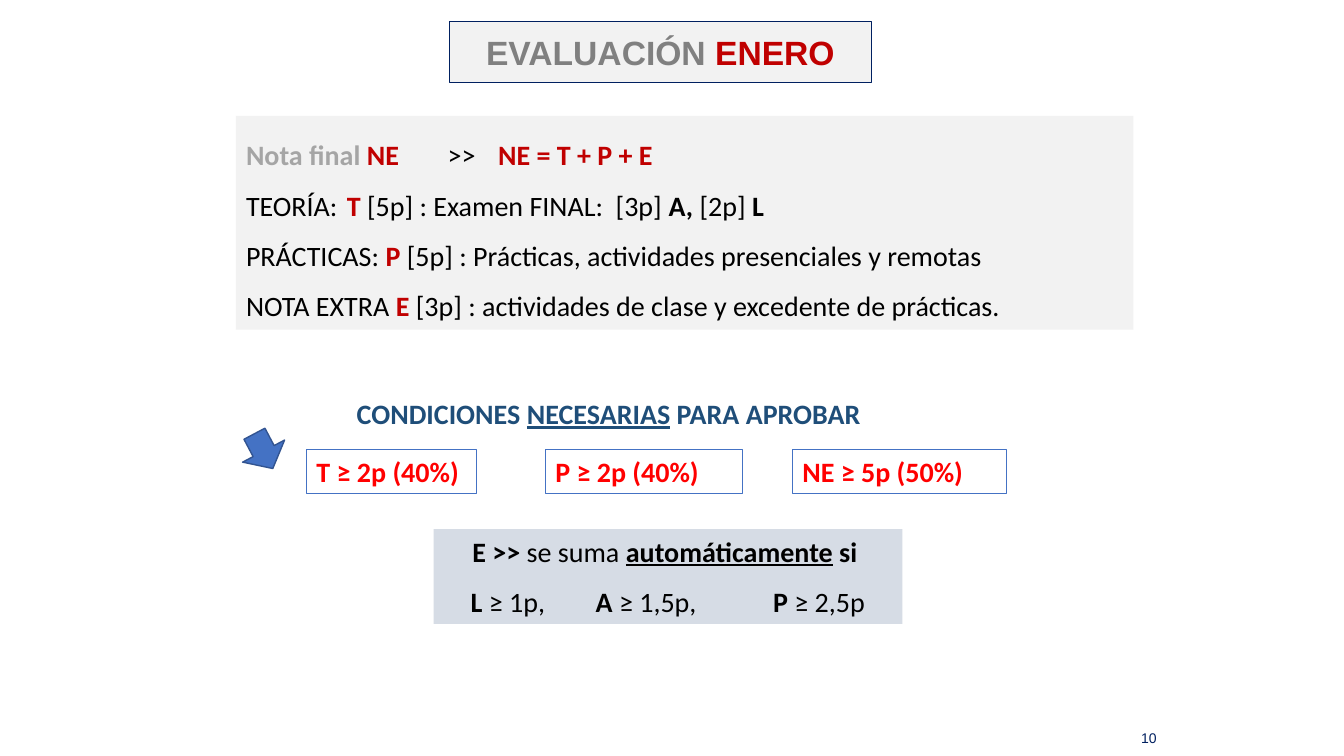
from dataclasses import dataclass

from lxml.etree import SubElement
from pptx import Presentation
from pptx.dml.color import RGBColor
from pptx.enum.shapes import MSO_SHAPE
from pptx.enum.text import MSO_ANCHOR, MSO_AUTO_SIZE, PP_ALIGN
from pptx.oxml.ns import qn
from pptx.util import Inches, Pt


@dataclass(frozen=True)
class Theme:
    heading_font: str = "Arial"
    body_font: str = "Calibri"
    title_size: int = 24
    body_size: int = 20
    number_size: int = 10
    panel: str = "F2F2F2"
    extra_panel: str = "D6DCE5"
    navy: str = "002060"
    blue: str = "4472C4"
    arrow_line: str = "325491"
    heading: str = "1F4E79"
    title_gray: str = "808080"
    label_gray: str = "A5A5A5"
    accent: str = "C00000"
    condition: str = "FF0000"
    text: str = "000000"


class SlideBuilder:
    """Adds styled elements to the current slide."""

    def __init__(self, slide, theme):
        self.slide = slide
        self.theme = theme

    def place(self, shape, box):
        shape.left, shape.top, shape.width, shape.height = map(Inches, box)

    def paint(self, shape, fill=None, line=None, line_width=0.75):
        if fill:
            shape.fill.solid()
            shape.fill.fore_color.rgb = RGBColor.from_string(fill)
        else:
            shape.fill.background()
        if line:
            shape.line.color.rgb = RGBColor.from_string(line)
            shape.line.width = Pt(line_width)
        else:
            shape.line.fill.background()

    def set_lines(self, shape, lines, size=None, font=None, align=PP_ALIGN.LEFT,
                  anchor=MSO_ANCHOR.TOP, spacing=1.0, before=0):
        frame = shape.text_frame
        frame.auto_size = MSO_AUTO_SIZE.NONE
        frame.word_wrap = True
        frame.vertical_anchor = anchor
        for index, runs in enumerate(lines):
            paragraph = frame.add_paragraph() if index else frame.paragraphs[0]
            paragraph.alignment = align
            paragraph.line_spacing = spacing
            paragraph.space_before = Pt(before)
            for text, color, bold, underline in runs:
                run = paragraph.add_run()
                run.text = text
                run.font.name = font or self.theme.body_font
                run.font.size = Pt(size or self.theme.body_size)
                run.font.bold = bold
                run.font.underline = underline
                run.font.color.rgb = RGBColor.from_string(color)

    def tabs(self, paragraph, stops):
        tab_list = SubElement(paragraph._p.get_or_add_pPr(), qn("a:tabLst"))
        for stop in stops:
            SubElement(tab_list, qn("a:tab"), pos=str(Inches(stop)), algn="l")

    def title(self, box, runs):
        shape = self.slide.shapes.title
        self.place(shape, box)
        self.paint(shape, self.theme.panel, self.theme.navy)
        self.set_lines(shape, [runs], self.theme.title_size, self.theme.heading_font,
                       PP_ALIGN.CENTER, MSO_ANCHOR.BOTTOM)
        shape.text_frame.margin_top = shape.text_frame.margin_bottom = Inches(0.1)

    def body(self, box, lines, tab_stops):
        shape = self.slide.placeholders[1]
        self.place(shape, box)
        self.paint(shape, self.theme.panel)
        self.set_lines(shape, lines, spacing=1.5)
        for paragraph, stops in zip(shape.text_frame.paragraphs, tab_stops):
            properties = paragraph._p.get_or_add_pPr()
            properties.set("marL", "0")
            properties.set("indent", "0")
            SubElement(properties, qn("a:buNone"))
            if stops:
                self.tabs(paragraph, stops)

    def text(self, box, lines, **style):
        shape = self.slide.shapes.add_textbox(*map(Inches, box))
        self.set_lines(shape, lines, **style)

    def shape(self, kind, box, fill=None, line=None, line_width=0.75):
        shape = self.slide.shapes.add_shape(kind, *map(Inches, box))
        shape.shadow.inherit = False
        self.paint(shape, fill, line, line_width)
        return shape

    def panel(self, box, lines, fill=None, line=None, **style):
        shape = self.shape(MSO_SHAPE.RECTANGLE, box, fill, line)
        self.set_lines(shape, lines, **style)
        return shape


def main():
    theme = Theme()
    presentation = Presentation()
    presentation.slide_width, presentation.slide_height = Inches(13.33), Inches(7.5)
    slide = presentation.slides.add_slide(presentation.slide_layouts[1])
    builder = SlideBuilder(slide, theme)

    def plain(text):
        return text, theme.text, False, False

    def strong(text, color=theme.text, underline=False):
        return text, color, True, underline

    builder.body((2.34, 1.15, 8.9, 2.12), [
        [strong("Nota final", theme.label_gray), strong(" NE", theme.accent),
         plain("\t>>\t"), strong("NE = T + P + E", theme.accent)],
        [plain("TEORÍA:\t"), strong("T ", theme.accent),
         plain("[5p] : Examen FINAL:  [3p] "), strong("A, "), plain("[2p] "), strong("L")],
        [plain("PRÁCTICAS: "), strong("P ", theme.accent),
         plain("[5p] : Prácticas, actividades presenciales y remotas")],
        [plain("NOTA EXTRA "), strong("E ", theme.accent),
         plain("[3p] : actividades de clase y excedente de prácticas.")],
    ], [(1.65, 2.0), (1.53,), (), ()])

    builder.title((4.46, 0.21, 4.18, 0.61), [
        strong("EVALUACIÓN ", theme.title_gray), strong("ENERO", theme.accent)])

    builder.text((9.19, 7.05, 2.38, 0.4), [[("10", theme.navy, False, False)]],
                 size=theme.number_size, font=theme.heading_font,
                 align=PP_ALIGN.RIGHT, anchor=MSO_ANCHOR.BOTTOM)

    extra = builder.panel((4.3, 5.25, 4.65, 0.94), [
        [strong("E >> "), plain("se suma "),
         strong("automáticamente", underline=True), strong(" si ")],
        [strong("\tL"), plain(" ≥ 1p,\t"), strong("A"), plain(" ≥ 1,5p,\t"),
         strong("P"), plain(" ≥ 2,5p")],
    ], theme.extra_panel, align=PP_ALIGN.CENTER, before=12)
    limits = extra.text_frame.paragraphs[1]
    limits.alignment = PP_ALIGN.LEFT
    builder.tabs(limits, (0.27, 1.51, 3.27))

    builder.text((3.44, 3.72, 5.24, 0.55), [[
        strong("CONDICIONES ", theme.heading),
        strong("NECESARIAS", theme.heading, underline=True),
        strong(" PARA APROBAR", theme.heading)]], spacing=1.5)

    for left, width, condition in ((3.04, 1.69, "T ≥ 2p (40%)"),
                                   (5.41, 1.96, "P ≥ 2p (40%)"),
                                   (7.86, 2.12, "NE ≥ 5p (50%)")):
        builder.panel((left, 4.46, width, 0.44), [[strong(condition, theme.condition)]],
                      line=theme.blue)

    arrow = builder.shape(MSO_SHAPE.DOWN_ARROW, (2.38, 4.28, 0.47, 0.39),
                          theme.blue, theme.arrow_line, 1)
    arrow.rotation = 332.2

    presentation.save("out.pptx")


if __name__ == "__main__":
    main()
